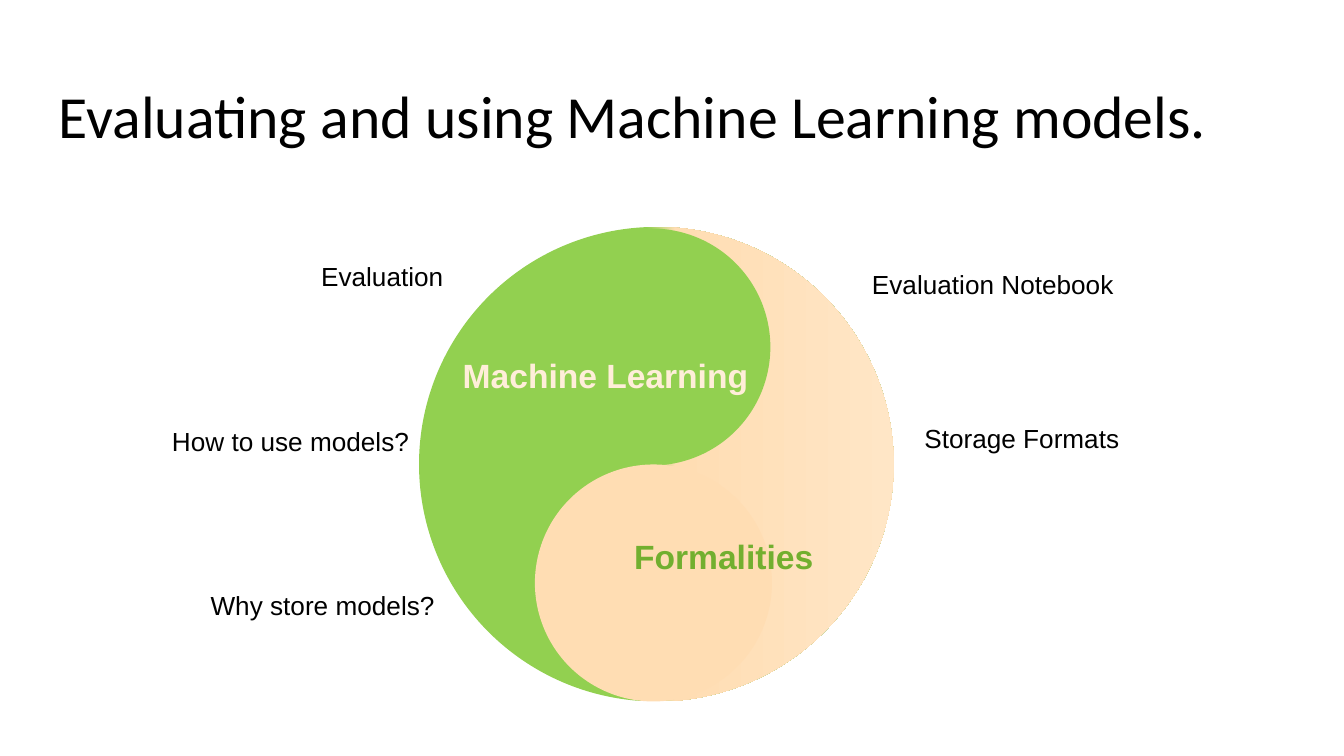
import copy

import pptx
import pptx.dml.color
import pptx.enum.shapes
import pptx.enum.text
import pptx.util

Cm = pptx.util.Cm
RGBColor = pptx.dml.color.RGBColor
ALIGN = pptx.enum.text.PP_ALIGN
OVAL = pptx.enum.shapes.MSO_SHAPE.OVAL

BLACK = RGBColor(0x00, 0x00, 0x00)
GREEN = RGBColor(0x92, 0xD0, 0x50)
MOSS = RGBColor(0x72, 0xAF, 0x2F)
PEACH = RGBColor(0xFF, 0xDD, 0xB3)
SAND = RGBColor(0xFF, 0xE6, 0xC6)
CREAM = RGBColor(0xFF, 0xEE, 0xD9)

deck = pptx.Presentation()
deck.slide_width, deck.slide_height = Cm(25.4), Cm(14.29)
slide = deck.slides.add_slide(deck.slide_layouts[6])


def add_text(text, left, top, width, height, size=14, font="Arial",
             color=BLACK, bold=False, align=ALIGN.LEFT, wrap=False, inset=0.13):
    box = slide.shapes.add_textbox(Cm(left), Cm(top), Cm(width), Cm(height))
    frame = box.text_frame
    frame.word_wrap = wrap
    frame.margin_top = frame.margin_bottom = Cm(inset)
    para = frame.paragraphs[0]
    para.alignment = align
    run = para.add_run()
    run.text = text
    run.font.name, run.font.size = font, pptx.util.Pt(size)
    run.font.bold, run.font.color.rgb = bold, color


# Title
add_text("Evaluating and using Machine Learning models.", 0.86, 1.24, 23.67, 1.6,
         size=32, font="Calibri", wrap=True, inset=0.25)

# Yin-yang: a split disc with one small disc in each half
group = slide.shapes.add_group_shape()
discs = []
for left, top, width in [(7.92, 4.29, 8.97), (10.08, 4.32, 4.48), (10.11, 8.78, 4.48)]:
    disc = group.shapes.add_shape(OVAL, Cm(left), Cm(top), Cm(width), Cm(width))
    disc.shadow.inherit = False
    disc.line.fill.background()
    discs.append(disc)
whole, upper, lower = discs
for disc, color in [(upper, GREEN), (lower, PEACH)]:
    disc.fill.solid()
    disc.fill.fore_color.rgb = color

# Four gradient stops, left to right
whole.fill.gradient()
whole.fill.gradient_angle = 0
stops = whole.fill._fill._gradFill.gsLst
for stop in list(stops)[:2]:
    stops.append(copy.deepcopy(stop))
shades = [(0, GREEN), (0.48, GREEN), (0.54, PEACH), (1, SAND)]
for stop, (place, color) in zip(whole.fill.gradient_stops, shades):
    stop.position = place
    stop.color.rgb = color

# Names of the halves
for text, left, top, width, color in [
    ("Formalities", 11.71, 10.01, 3.94, MOSS),
    ("Machine Learning", 8.46, 6.58, 5.97, CREAM),
]:
    add_text(text, left, top, width, 1.02, size=18, color=color, bold=True,
             align=ALIGN.CENTER)

# Topics around the disc
for text, left, top, width in [
    ("Evaluation", 5.82, 4.8, 2.84),
    ("How to use models?", 3, 7.92, 5.03),
    ("Why store models?", 3.73, 11.02, 4.78),
    ("Evaluation Notebook", 16.23, 4.95, 5.11),
    ("Storage Formats", 17.22, 7.85, 4.22),
]:
    add_text(text, left, top, width, 0.86)

deck.save("out.pptx")
